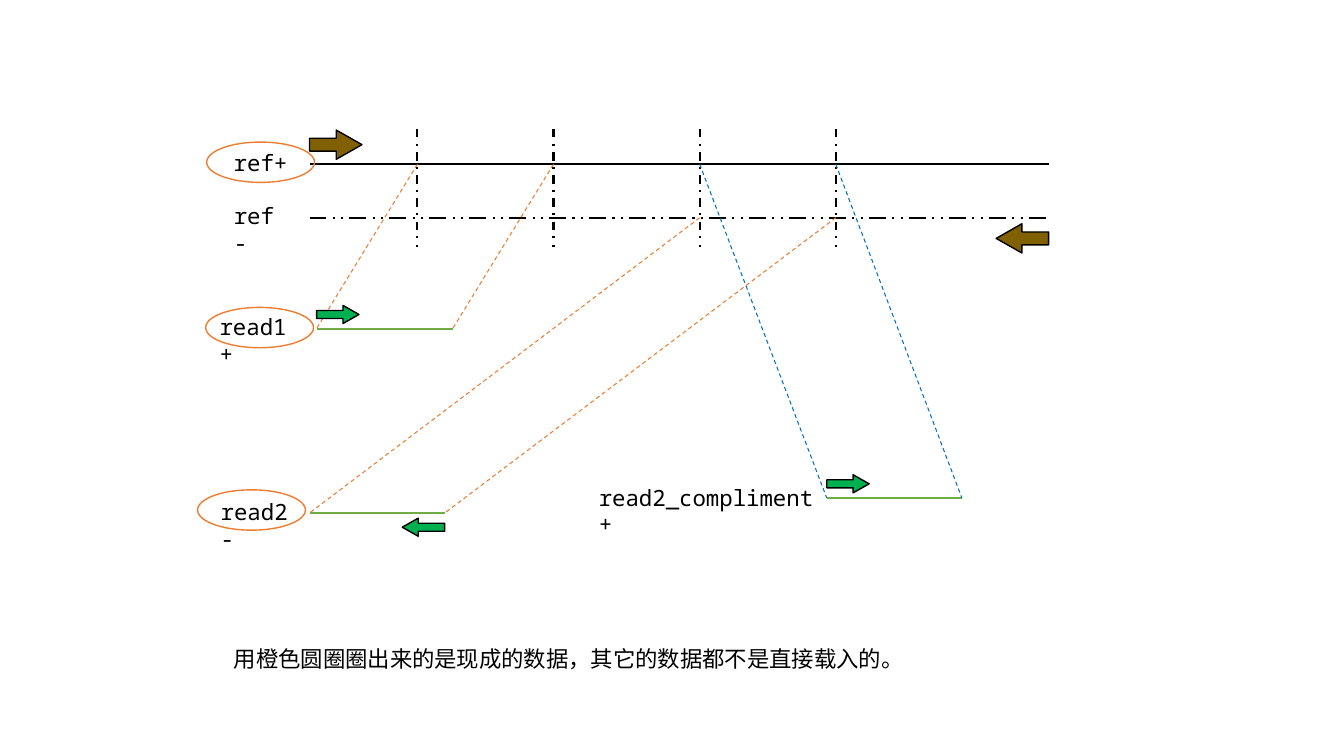
from lxml.etree import SubElement
from pptx import Presentation
from pptx.dml.color import RGBColor
from pptx.enum.dml import MSO_LINE
from pptx.enum.shapes import MSO_CONNECTOR, MSO_SHAPE
from pptx.enum.text import MSO_AUTO_SIZE
from pptx.oxml.ns import qn
from pptx.util import Inches, Pt

BLACK = RGBColor(0x00, 0x00, 0x00)
ORANGE = RGBColor(0xED, 0x7D, 0x31)
BLUE = RGBColor(0x00, 0x70, 0xC0)
READ_GREEN = RGBColor(0x70, 0xAD, 0x47)
ARROW_GREEN = RGBColor(0x00, 0xB0, 0x50)
BROWN = RGBColor(0x80, 0x60, 0x00)

prs = Presentation()
prs.slide_width = Inches(13.33)
prs.slide_height = Inches(7.5)
slide = prs.slides.add_slide(prs.slide_layouts[6])
shapes = slide.shapes


def add_line(x1, y1, x2, y2, color, width, dash=None):
    line = shapes.add_connector(
        MSO_CONNECTOR.STRAIGHT, Inches(x1), Inches(y1), Inches(x2), Inches(y2))
    line.line.color.rgb = color
    line.line.width = Pt(width)
    if dash is not None:
        line.line.dash_style = dash
    SubElement(line._element.spPr, qn("a:effectLst"))


def add_outlined(kind, left, top, width, height, color):
    shape = shapes.add_shape(
        kind, Inches(left), Inches(top), Inches(width), Inches(height))
    shape.shadow.inherit = False
    shape.line.color.rgb = color
    shape.line.width = Pt(1)
    return shape


ref_left, ref_right = 3.07, 10.4
ref_plus_y, ref_minus_y = 1.63, 2.16
add_line(ref_left, ref_plus_y, ref_right, ref_plus_y, BLACK, 1.5)
add_line(ref_left, ref_minus_y, ref_right, ref_minus_y, BLACK, 1.5,
         MSO_LINE.DASH_DOT_DOT)

read1_sites = (4.14, 5.49)
read2_sites = (6.94, 8.29)
for site in read1_sites + read2_sites:
    add_line(site, 1.28, site, 2.45, BLACK, 1.5, MSO_LINE.DASH_DOT)

reads = [
    ((3.14, 4.49), 3.26, read1_sites, ref_plus_y, ORANGE),
    ((3.07, 4.41), 5.09, read2_sites, ref_minus_y, ORANGE),
    ((8.2, 9.54), 4.94, read2_sites, ref_plus_y, BLUE),
]
for ends, read_y, sites, ref_y, guide_color in reads:
    add_line(ends[0], read_y, ends[1], read_y, READ_GREEN, 1.5)
    for end, site in zip(ends, sites):
        add_line(site, ref_y, end, read_y, guide_color, 0.75, MSO_LINE.DASH)

directions = [
    (3.07, 1.29, 0.52, 0.29, 0, BROWN),
    (9.88, 2.22, 0.52, 0.29, 180, BROWN),
    (3.14, 3.03, 0.42, 0.18, 0, ARROW_GREEN),
    (3.99, 5.14, 0.42, 0.18, 180, ARROW_GREEN),
    (8.2, 4.71, 0.42, 0.18, 0, ARROW_GREEN),
]
for left, top, width, height, rotation, color in directions:
    arrow = add_outlined(MSO_SHAPE.RIGHT_ARROW, left, top, width, height, BLACK)
    arrow.adjustments[0] = 0.44
    arrow.adjustments[1] = 0.88
    arrow.rotation = rotation
    arrow.fill.solid()
    arrow.fill.fore_color.rgb = color

for left, top in [(2.05, 1.41), (2.04, 3.05), (1.96, 4.86)]:
    ring = add_outlined(MSO_SHAPE.OVAL, left, top, 1.07, 0.4, ORANGE)
    ring.fill.background()

labels = [
    ("ref+", 2.22, 1.43, 0.74),
    ("ref-", 2.22, 1.96, 0.69),
    ("read1+", 2.08, 3.06, 0.98),
    ("read2-", 2.09, 4.89, 0.98),
    ("read2_compliment+", 5.84, 4.75, 2.38),
    ("用橙色圆圈圈出来的是现成的数据，其它的数据都不是直接载入的。", 2.22, 6.35, 6.91),
]
for text, left, top, width in labels:
    label = shapes.add_textbox(
        Inches(left), Inches(top), Inches(width), Inches(0.37))
    frame = label.text_frame
    frame.word_wrap = True
    frame.auto_size = MSO_AUTO_SIZE.SHAPE_TO_FIT_TEXT
    paragraph = frame.paragraphs[0]
    paragraph.text = text
    paragraph.font.name = "Noto Sans Mono"
    paragraph.font.size = Pt(16)
    paragraph.font.color.rgb = BLACK

prs.save("out.pptx")
